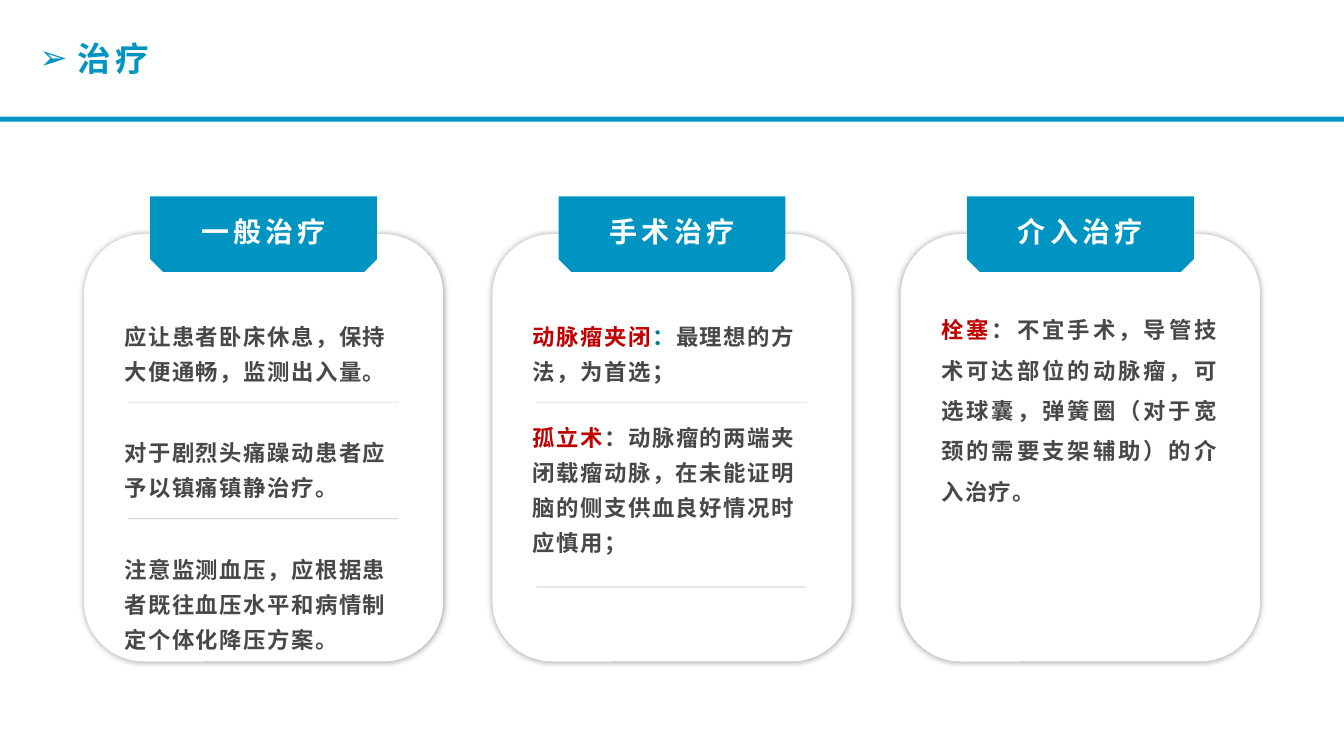
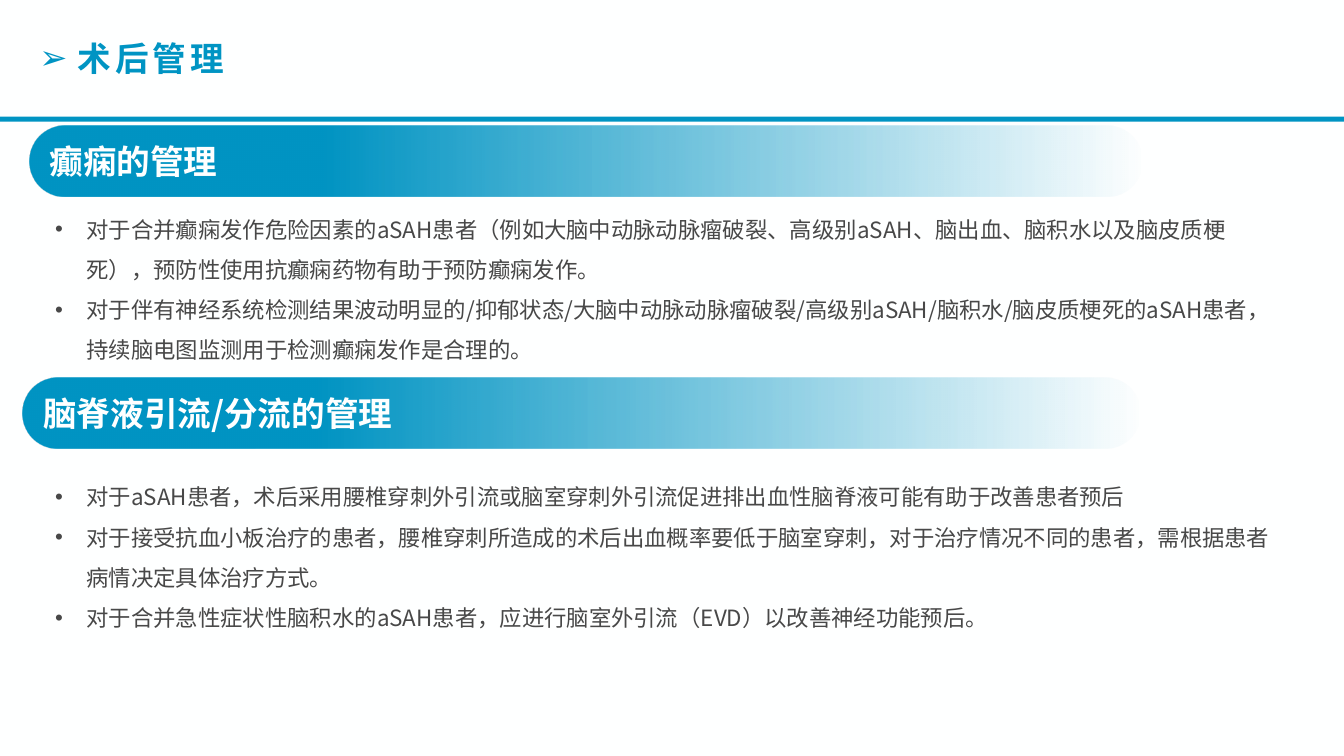
"""Build two slides on treatment and postoperative management."""
from dataclasses import dataclass

from lxml.etree import SubElement
from pptx import Presentation
from pptx.dml.color import RGBColor
from pptx.enum.shapes import MSO_CONNECTOR, MSO_SHAPE
from pptx.enum.text import MSO_ANCHOR, MSO_AUTO_SIZE, PP_ALIGN
from pptx.oxml.ns import qn
from pptx.util import Emu, Pt


@dataclass(frozen=True)
class Theme:
    font: str = "Noto Sans CJK SC"
    blue: RGBColor = RGBColor(0x00, 0x94, 0xC3)
    white: RGBColor = RGBColor(0xFE, 0xFF, 0xFF)
    gray: RGBColor = RGBColor(0x48, 0x48, 0x48)
    red: RGBColor = RGBColor(0xC0, 0x00, 0x00)
    teal: RGBColor = RGBColor(0x00, 0x7F, 0x7F)
    title: int = 24
    label: int = 20
    body: int = 16


T = Theme()
PX = 9525


def write(tf, text, size=T.body, color=T.gray, bold=False, spc=0, align=PP_ALIGN.LEFT,
          spacing=1.0, bullet=None, indent=0, anchor=MSO_ANCHOR.TOP):
    tf.word_wrap = True
    tf.vertical_anchor = anchor
    for i, runs in enumerate(text):
        p = tf.paragraphs[0] if i == 0 else tf.add_paragraph()
        if bullet:
            pPr = p._p.get_or_add_pPr()
            pPr.set("marL", str(indent * PX))
            pPr.set("indent", str(-indent * PX))
            SubElement(pPr, qn("a:buFont"), typeface="Arial")
            SubElement(pPr, qn("a:buChar"), char=bullet)
        p.alignment = align
        p.line_spacing = spacing
        for words, tint in runs:
            r = p.add_run()
            r.text = words
            r.font.name = T.font
            r.font.size = Pt(size)
            r.font.bold = bold
            r.font.color.rgb = tint or color
            rPr = r._r.get_or_add_rPr()
            rPr.set("spc", str(spc))
            SubElement(rPr, qn("a:ea"), typeface=T.font)


def add_box(s, kind, x, y, w, h, fill=None):
    box = [Emu(v * PX) for v in (x, y, w, h)]
    if kind is None:
        sp = s.shapes.add_textbox(*box)
        sp.text_frame.auto_size = MSO_AUTO_SIZE.SHAPE_TO_FIT_TEXT
        return sp
    sp = s.shapes.add_shape(kind, *box)
    sp.shadow.inherit = False
    sp.line.fill.background()
    if fill is not None:
        sp.fill.solid()
        sp.fill.fore_color.rgb = fill
    return sp


prs = Presentation()
prs.slide_width, prs.slide_height = Emu(1280 * PX), Emu(720 * PX)
bg = prs.slide_master.background.fill
bg.solid()
bg.fore_color.rgb = T.white

for title in ("治疗", "术后管理"):
    s = prs.slides.add_slide(prs.slide_layouts[5])
    sp = s.shapes.title
    sp.left, sp.top, sp.width, sp.height = [Emu(v * PX) for v in (28, 31, 364, 48)]
    write(sp.text_frame, [[(title, None)]], size=T.title, color=T.blue, bold=True,
          spc=300, bullet="➢", indent=36)
    add_box(s, MSO_SHAPE.RECTANGLE, 0, 111, 1280, 5, T.blue)

treatment, management = prs.slides

cards = [
    ("一般治疗", PP_ALIGN.LEFT, 1.3, [
        (295, 77, [("应让患者卧床休息，保持大便通畅，监测出入量。", None)]),
        (406, 77, [("对于剧烈头痛躁动患者应予以镇痛镇静治疗。", None)]),
        (517, 110, [("注意监测血压，应根据患者既往血压水平和病情制定个体化降压方案。", None)]),
    ], (383, 494)),
    ("手术治疗", PP_ALIGN.LEFT, 1.3, [
        (295, 77, [("动脉瘤夹闭", T.red), ("：", T.teal), ("最理想的方法，为首选；", None)]),
        (392, 144, [("孤立术", T.red),
                    ("：动脉瘤的两端夹闭载瘤动脉，在未能证明脑的侧支供血良好情况时应慎用；", None)]),
    ], (383, 559)),
    ("介入治疗", PP_ALIGN.JUSTIFY, 1.5, [
        (284, 204, [("栓塞", T.red),
                    ("：不宜手术，导管技术可达部位的动脉瘤，可选球囊，弹簧圈"
                     "（对于宽颈的需要支架辅助）的介入治疗。", None)]),
    ], ()),
]
for i, (label, align, spacing, notes, rules) in enumerate(cards):
    x = 80 + 389 * i
    card = add_box(treatment, MSO_SHAPE.ROUNDED_RECTANGLE, x, 223, 342, 407, T.white)
    effects = card._element.spPr.find(qn("a:effectLst"))
    shadow = SubElement(effects, qn("a:outerShdw"), blurRad=str(Pt(5)), dist="0",
                        dir="0", algn="ctr", rotWithShape="0")
    black = SubElement(shadow, qn("a:srgbClr"), val="000000")
    SubElement(black, qn("a:alpha"), val="40000")

    tab = add_box(treatment, MSO_SHAPE.SNIP_2_SAME_RECTANGLE, x + 63, 187, 216, 72, T.blue)
    tab.adjustments[0], tab.adjustments[1] = 0, 0.17
    write(tab.text_frame, [[(label, None)]], size=T.label, color=T.white, bold=True,
          spc=300, align=PP_ALIGN.CENTER, anchor=MSO_ANCHOR.MIDDLE)

    for y, h, runs in notes:
        sp = add_box(treatment, None, x + 29, y, 283, h)
        write(sp.text_frame, [runs], bold=True, spc=110, align=align, spacing=spacing)

    for y in rules:
        ln = treatment.shapes.add_connector(
            MSO_CONNECTOR.STRAIGHT, *[Emu(v * PX) for v in (x + 42, y, x + 299, y)])
        ln.line.width = Pt(0.5)
        ln.line.color.rgb = T.gray
        spPr = ln._element.spPr
        SubElement(spPr.xpath(".//a:srgbClr")[0], qn("a:alpha"), val="34000")
        SubElement(spPr, qn("a:effectLst"))

sections = [
    ("癫痫的管理", (28, 120, 1060, 67), (43, 188, 1165, 165), [
        "对于合并癫痫发作危险因素的aSAH患者（例如大脑中动脉动脉瘤破裂、高级别aSAH、脑出血、"
        "脑积水以及脑皮质梗死），预防性使用抗癫痫药物有助于预防癫痫发作。",
        "对于伴有神经系统检测结果波动明显的/抑郁状态/大脑中动脉动脉瘤破裂/高级别aSAH/脑积水/"
        "脑皮质梗死的aSAH患者，持续脑电图监测用于检测癫痫发作是合理的。",
    ]),
    ("脑脊液引流/分流的管理", (22, 360, 1064, 67), (43, 443, 1180, 204), [
        "对于aSAH患者，术后采用腰椎穿刺外引流或脑室穿刺外引流促进排出血性脑脊液可能有助于改善患者预后",
        "对于接受抗血小板治疗的患者，腰椎穿刺所造成的术后出血概率要低于脑室穿刺，"
        "对于治疗情况不同的患者，需根据患者病情决定具体治疗方式。",
        "对于合并急性症状性脑积水的aSAH患者，应进行脑室外引流（EVD）以改善神经功能预后。",
    ]),
]
for heading, pill_box, text_box, points in sections:
    pill = add_box(management, MSO_SHAPE.ROUNDED_RECTANGLE, *pill_box)
    pill.adjustments[0] = 0.5
    pill.fill.gradient()
    pill.fill.gradient_angle = 180
    for stop, position in zip(pill.fill.gradient_stops, (0, 0.74)):
        stop.color.rgb = T.blue
        stop.position = position
    clear = pill._element.spPr.xpath("./a:gradFill//a:srgbClr")[0]
    SubElement(clear, qn("a:alpha"), val="0")
    write(pill.text_frame, [[(heading, None)]], size=T.title, color=T.white, bold=True,
          anchor=MSO_ANCHOR.MIDDLE)

    sp = add_box(management, None, *text_box)
    write(sp.text_frame, [[(point, None)] for point in points], spacing=1.5,
          bullet="•", indent=30)

prs.save("out.pptx")
